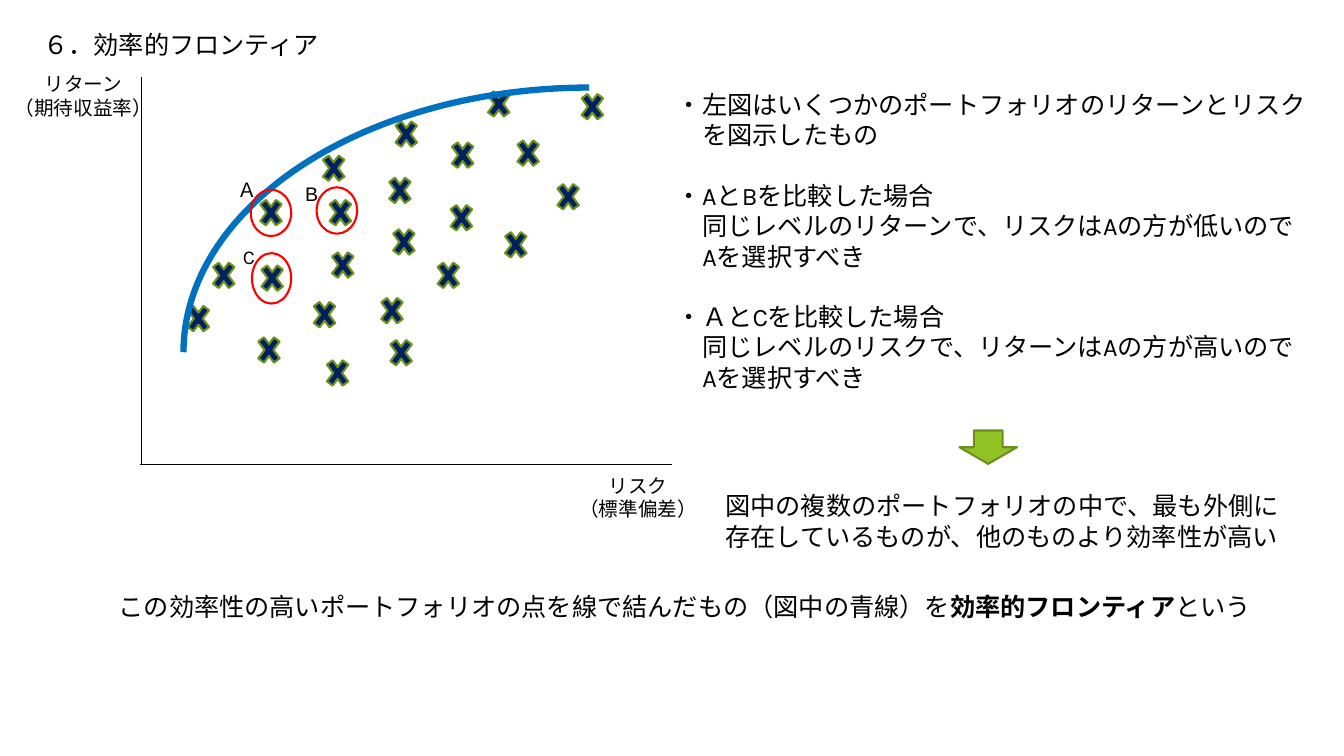
from pptx import Presentation
from pptx.dml.color import RGBColor
from pptx.enum.shapes import MSO_CONNECTOR, MSO_SHAPE
from pptx.enum.text import MSO_AUTO_SIZE, PP_ALIGN
from pptx.oxml.ns import qn
from pptx.util import Cm, Pt
from lxml import etree

BLACK = RGBColor(0x00, 0x00, 0x00)
NAVY = RGBColor(0x00, 0x20, 0x60)
BLUE = RGBColor(0x00, 0x70, 0xC0)
RED = RGBColor(0xFF, 0x00, 0x00)
GREEN = RGBColor(0x90, 0xC2, 0x26)
DARK_GREEN = RGBColor(0x6B, 0x90, 0x1C)

BODY, SMALL = 18, 14
BLANK_LINE = Pt(21.7)
HANGING = Cm(0.64)

title = ("６．効率的フロンティア", (0.84, 0.61, 7.57, 1.02))
axis_labels = [
    (["リターン", "（期待収益率）"], (0.10, 1.70, 4.01, 1.45)),
    (["リスク", "（標準偏差）"], (14.33, 11.81, 3.51, 1.45)),
]
axes = [((3.56, 1.93), (3.56, 11.68)), ((3.53, 11.71), (16.94, 11.71))]

portfolio_size = (0.76, 1.02)
portfolios = [
    (9.70, 4.29), (14.55, 2.18), (12.93, 3.35), (6.48, 6.50), (11.25, 4.98),
    (11.28, 3.40), (5.26, 6.43), (8.03, 3.73), (7.80, 7.42), (8.20, 4.85),
    (9.80, 5.59), (12.62, 5.66), (10.92, 6.43), (8.26, 6.17), (13.94, 4.45),
    (12.19, 2.11), (9.86, 2.87), (4.62, 7.52), (6.40, 8.31), (8.13, 8.89),
    (9.73, 8.38), (9.50, 7.32), (6.45, 4.85),
]
frontier = (8.18, -1.35, 13.34, 20.45)
compared = [
    ("Ａ", "Karla", (5.74, 4.37, 1.02, 0.86), (6.32, 4.78, 1.02, 1.17)),
    ("B", "Arial", (7.44, 4.45, 0.84, 0.86), (7.98, 4.72, 1.02, 1.17)),
    ("C", "Karla", (5.87, 6.05, 0.81, 0.86), (6.35, 6.38, 0.99, 1.27)),
]

explanation_box = (16.81, 2.13, 16.54, 7.95)
explanation = [
    ["・左図はいくつかのポートフォリオのリターンとリスク", "を図示したもの"],
    ["・AとBを比較した場合", "同じレベルのリターンで、リスクはAの方が低いので", "Aを選択すべき"],
    ["・ＡとCを比較した場合", "同じレベルのリスクで、リターンはAの方が高いので", "Aを選択すべき"],
]
therefore = (24.18, 10.85, 1.45, 0.84)
conclusion = (
    ["図中の複数のポートフォリオの中で、最も外側に",
     "存在しているものが、他のものより効率性が高い"],
    (18.03, 12.24, 14.63, 1.80),
)
definition = (
    ["この効率性の高いポートフォリオの点を線で結んだもの（図中の青線）を",
     "効率的フロンティア", "という"],
    (2.74, 14.78, 29.36, 1.02),
)

deck = Presentation()
deck.slide_width, deck.slide_height = Cm(33.87), Cm(19.05)
slide = deck.slides.add_slide(deck.slide_layouts[6])


def lengths(values):
    return [Cm(value) for value in values]


def style_run(run, size, font="Karla"):
    run.font.size = Pt(size)
    run.font.name = font
    run.font.color.rgb = BLACK


def add_text(lines, box, size, font="Karla", align=PP_ALIGN.LEFT):
    frame = slide.shapes.add_textbox(*lengths(box)).text_frame
    frame.word_wrap = False
    frame.auto_size = MSO_AUTO_SIZE.SHAPE_TO_FIT_TEXT
    frame.text = "\n".join(lines)
    for paragraph in frame.paragraphs:
        paragraph.alignment = align
        for run in paragraph.runs:
            style_run(run, size, font)
    return frame


def add_shape(preset, box, line, width, fill=None):
    shape = slide.shapes.add_shape(preset, *lengths(box))
    shape.shadow.inherit = False
    shape.line.color.rgb = line
    shape.line.width = Pt(width)
    if fill is None:
        shape.fill.background()
    else:
        shape.fill.solid()
        shape.fill.fore_color.rgb = fill
    return shape


add_text([title[0]], title[1], BODY)

for start, end in axes:
    axis = slide.shapes.add_connector(MSO_CONNECTOR.STRAIGHT, *lengths(start + end))
    axis.line.color.rgb = BLACK
    axis.line.width = Pt(1)
    etree.SubElement(axis._element.spPr, qn("a:effectLst"))

for position in portfolios:
    add_shape(MSO_SHAPE.MATH_MULTIPLY, position + portfolio_size, DARK_GREEN, 1.5, NAVY)

add_shape(MSO_SHAPE.ARC, frontier, BLUE, 4.5).rotation = 270

for lines, box in axis_labels:
    add_text(lines, box, SMALL, align=PP_ALIGN.CENTER)

for name, font, label_box, circle in compared:
    add_shape(MSO_SHAPE.OVAL, circle, RED, 1.5)
    add_text([name], label_box, SMALL, font)

explanation_frame = add_text(sum(explanation, []), explanation_box, BODY)
for number, paragraph in enumerate(explanation_frame.paragraphs):
    if not paragraph.text.startswith("・"):
        paragraph._p.get_or_add_pPr().set("marL", str(HANGING))
    elif number:
        paragraph.space_before = BLANK_LINE

add_shape(MSO_SHAPE.DOWN_ARROW, therefore, DARK_GREEN, 1.5, GREEN)
add_text(*conclusion, BODY)

lead, term, ending = definition[0]
sentence = add_text([lead], definition[1], BODY).paragraphs[0]
for part in (term, ending):
    run = sentence.add_run()
    run.text = part
    style_run(run, BODY)
    run.font.bold = part == term

deck.save("out.pptx")
